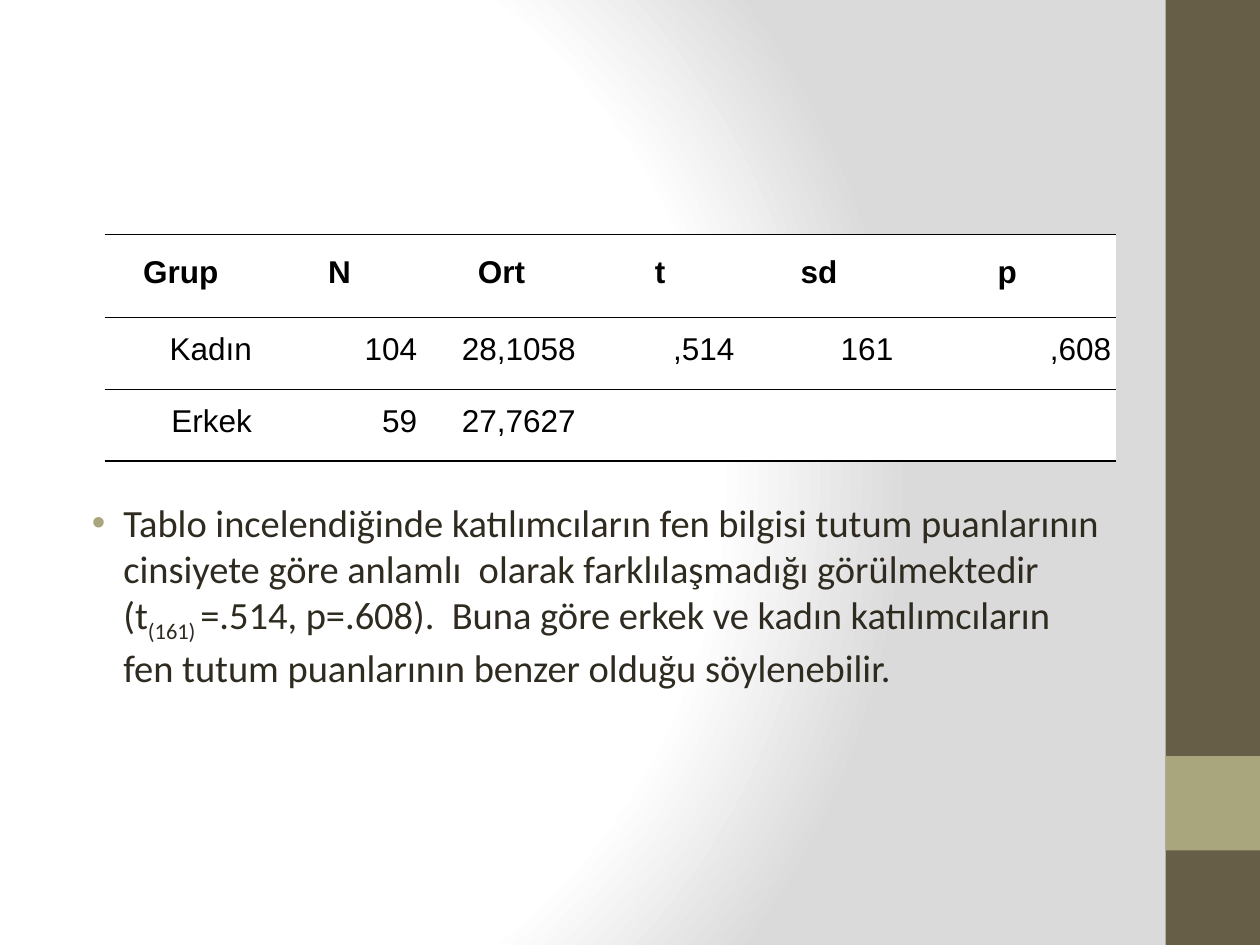
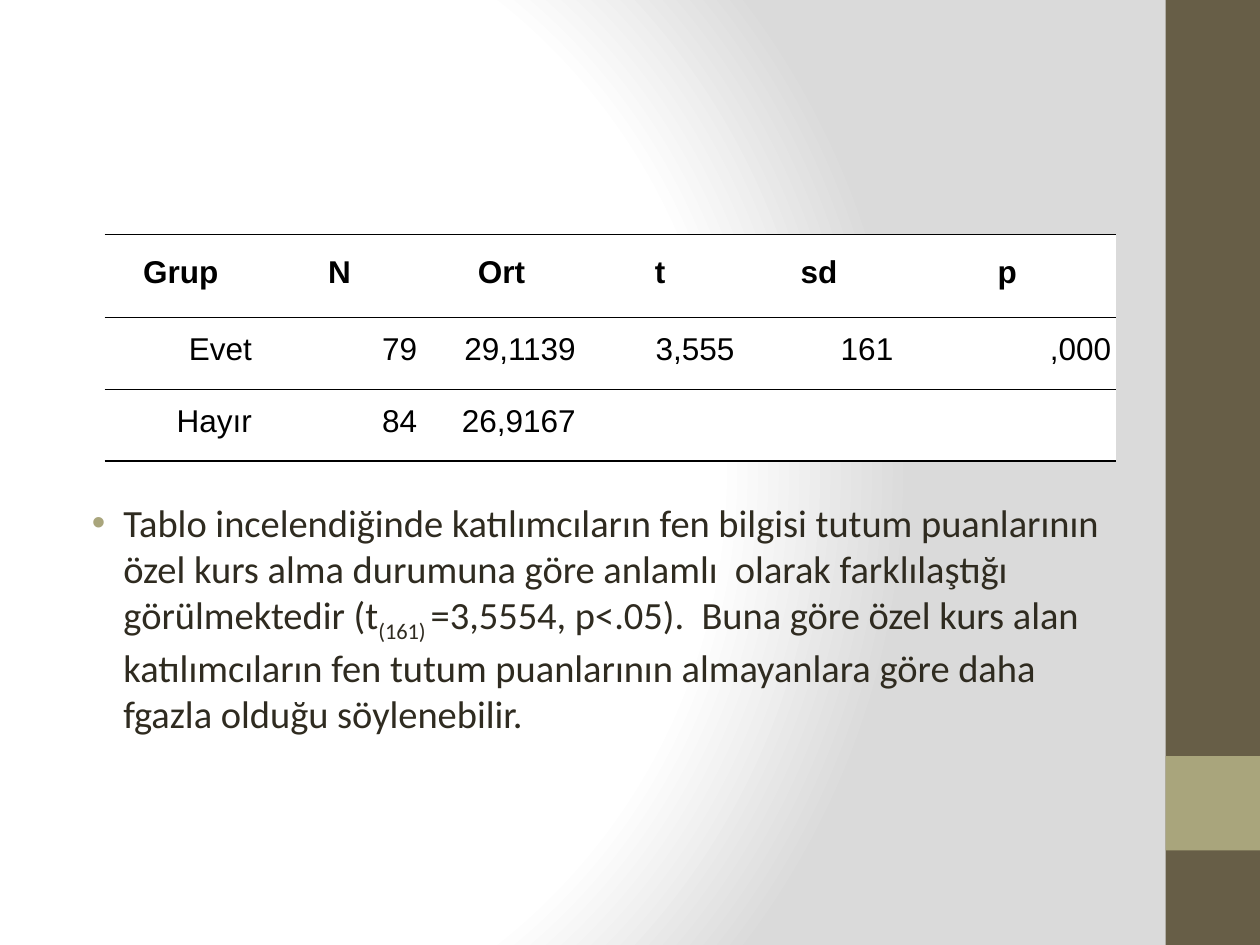
"""Builds two slides that each report a t-test as a table with its interpretation."""
from lxml import etree
from pptx import Presentation
from pptx.dml.color import RGBColor
from pptx.enum.shapes import MSO_SHAPE
from pptx.enum.text import MSO_ANCHOR, MSO_AUTO_SIZE, PP_ALIGN
from pptx.oxml import parse_xml
from pptx.oxml.ns import qn
from pptx.util import Inches, Pt

RECTANGLE = MSO_SHAPE.RECTANGLE
MIDDLE, TOP = MSO_ANCHOR.MIDDLE, MSO_ANCHOR.TOP
NO_AUTOFIT = MSO_AUTO_SIZE.NONE
CENTER, RIGHT = PP_ALIGN.CENTER, PP_ALIGN.RIGHT

BLACK = RGBColor(0x00, 0x00, 0x00)
WHITE = RGBColor(0xFF, 0xFF, 0xFF)
GREY = RGBColor(0xDA, 0xDA, 0xDA)
BROWN = RGBColor(0x67, 0x5E, 0x47)
KHAKI = RGBColor(0xA9, 0xA5, 0x7C)
INK = RGBColor(0x2F, 0x2B, 0x20)

DRAWING_NS = "http://schemas.openxmlformats.org/drawingml/2006/main"
NO_TABLE_STYLE = "{2D5ABB26-0587-4C30-8999-92F81FD0307C}"

HEADER = ("Grup", "N", "Ort", "t", "sd", "p")
RESULTS = [
    {
        "groups": [
            ("Kadın", "104", "28,1058", ",514", "161", ",608"),
            ("Erkek", "59", "27,7627", "", "", ""),
        ],
        "finding": [
            ("Tablo incelendiğinde katılımcıların fen bilgisi tutum puanlarının "
             "cinsiyete göre anlamlı  olarak farklılaşmadığı görülmektedir (t", False),
            ("(161) ", True),
            ("=.514, p=.608).  Buna göre erkek ve kadın katılımcıların "
             "fen tutum puanlarının benzer olduğu söylenebilir.", False),
        ],
    },
    {
        "groups": [
            ("Evet", "79", "29,1139", "3,555", "161", ",000"),
            ("Hayır", "84", "26,9167", "", "", ""),
        ],
        "finding": [
            ("Tablo incelendiğinde katılımcıların fen bilgisi tutum puanlarının "
             "özel kurs alma durumuna göre anlamlı  olarak farklılaştığı "
             "görülmektedir (t", False),
            ("(161) ", True),
            ("=3,5554, p<.05).  Buna göre özel kurs alan katılımcıların fen tutum "
             "puanlarının almayanlara göre daha fgazla olduğu söylenebilir.", False),
        ],
    },
]

BANDS = [((9.25, 0, 0.75, 7.5), BROWN), ((9.25, 6, 0.75, 0.75), KHAKI)]
TABLE_LEFT, TABLE_TOP = 0.83, 1.86
COLUMN_WIDTHS = (1.21, 1.31, 1.26, 1.26, 1.26, 1.73)
ROW_HEIGHTS = (0.66, 0.57, 0.57)
ROW_BORDERS = (("lnT", "lnB"), ("lnT",), ("lnB",))
FINDING_BOX = (0.5, 3.91, 8.33, 3.09)
BACKGROUND_STOPS = [(0, WHITE), (75, WHITE), (100, GREY)]


def set_background(master):
    master.background.fill.solid()
    stops = "".join(
        f'<a:gs pos="{percent * 1000}"><a:srgbClr val="{color}"/></a:gs>'
        for percent, color in BACKGROUND_STOPS)
    gradient = parse_xml(
        f'<a:gradFill xmlns:a="{DRAWING_NS}" rotWithShape="1"><a:gsLst>{stops}</a:gsLst>'
        '<a:path path="circle"><a:fillToRect l="20000" t="50000" r="100000" b="50000"/>'
        '</a:path></a:gradFill>')
    background = master.element.cSld.find(".//" + qn("p:bgPr"))
    background.replace(background[0], gradient)


def add_master_bands(master, slide):
    for box, color in BANDS:
        band = slide.shapes.add_shape(RECTANGLE, *map(Inches, box))
        band.shadow.inherit = False
        band.fill.solid()
        band.fill.fore_color.rgb = color
        band.line.fill.background()
        master.shapes.element.append(band.element)


def add_border(cell, side):
    properties = cell._tc.get_or_add_tcPr()
    border = etree.SubElement(properties, qn("a:" + side), w=str(Pt(1)))
    fill = etree.SubElement(border, qn("a:solidFill"))
    etree.SubElement(fill, qn("a:srgbClr"), val=str(BLACK))


def fill_cell(cell, text, is_header, borders):
    for side in borders:
        add_border(cell, side)
    cell.fill.solid()
    cell.fill.fore_color.rgb = WHITE
    cell.margin_left = cell.margin_right = cell.margin_top = cell.margin_bottom = 0
    cell.vertical_anchor = MIDDLE
    if not text:
        return
    paragraph = cell.text_frame.paragraphs[0]
    paragraph.alignment = CENTER if is_header else RIGHT
    paragraph.line_spacing = Pt(16)
    properties = paragraph._p.get_or_add_pPr()
    for margin in ("marL", "marR"):
        properties.set(margin, str(Inches(0.04)))
    run = paragraph.add_run()
    run.text = text
    run.font.name = "Arial"
    run.font.size = Pt(18)
    run.font.bold = is_header
    run.font.color.rgb = BLACK


def add_results_table(slide, groups):
    rows = [HEADER, *groups]
    table = slide.shapes.add_table(
        len(rows), len(HEADER), Inches(TABLE_LEFT), Inches(TABLE_TOP),
        Inches(sum(COLUMN_WIDTHS)), Inches(sum(ROW_HEIGHTS))).table
    table.first_row = table.horz_banding = False
    table._tbl.tblPr.find(qn("a:tableStyleId")).text = NO_TABLE_STYLE
    for column, width in zip(table.columns, COLUMN_WIDTHS):
        column.width = Inches(width)
    for index, texts in enumerate(rows):
        row = table.rows[index]
        row.height = Inches(ROW_HEIGHTS[index])
        for cell, text in zip(row.cells, texts):
            fill_cell(cell, text, index == 0, ROW_BORDERS[index])


def write_finding(body, runs):
    body.left, body.top, body.width, body.height = map(Inches, FINDING_BOX)
    frame = body.text_frame
    frame.auto_size = NO_AUTOFIT
    frame.vertical_anchor = TOP
    paragraph = frame.paragraphs[0]
    properties = paragraph._p.get_or_add_pPr()
    properties.set("marL", str(Inches(0.38)))
    properties.set("indent", str(Inches(-0.25)))
    bullet_color = etree.SubElement(properties, qn("a:buClr"))
    etree.SubElement(bullet_color, qn("a:srgbClr"), val=str(KHAKI))
    etree.SubElement(properties, qn("a:buFont"), typeface="Arial")
    etree.SubElement(properties, qn("a:buChar"), char="•")
    for text, is_subscript in runs:
        run = paragraph.add_run()
        run.text = text
        run.font.name = "Calibri"
        run.font.size = Pt(22)
        run.font.color.rgb = INK
        if is_subscript:
            run.font._element.set("baseline", "-25000")


def main():
    deck = Presentation()
    deck.slide_width, deck.slide_height = Inches(10), Inches(7.5)
    set_background(deck.slide_master)
    for result in RESULTS:
        slide = deck.slides.add_slide(deck.slide_layouts[1])
        title = slide.shapes.title.element
        title.getparent().remove(title)
        write_finding(slide.placeholders[1], result["finding"])
        add_results_table(slide, result["groups"])
    add_master_bands(deck.slide_master, deck.slides[0])
    deck.save("out.pptx")


main()
